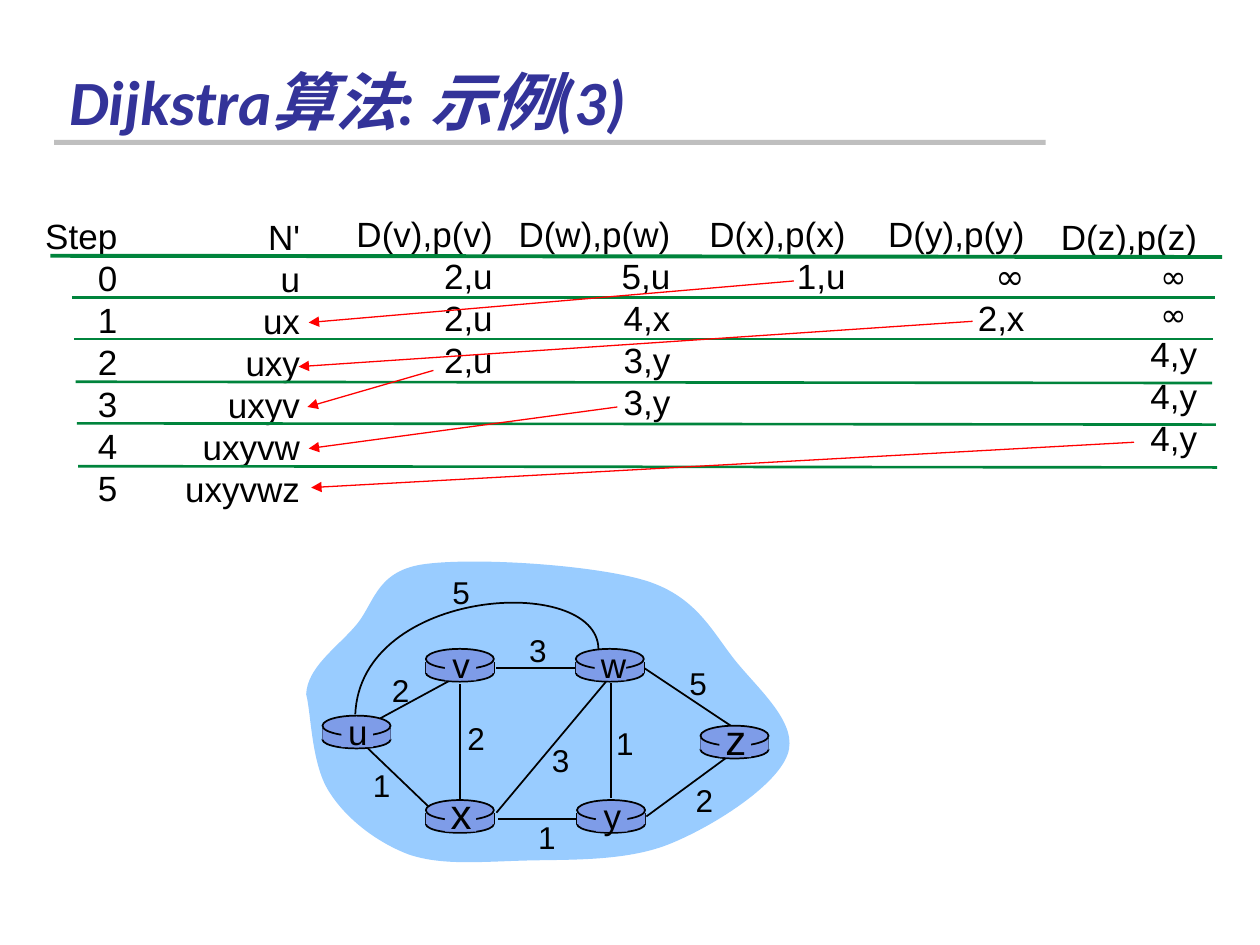
from pptx import Presentation, util as u
from pptx.dml.color import RGBColor
from pptx.enum import shapes, text
from pptx.oxml.ns import qn
from lxml import etree

COLORS = {
    "title": "333399", "ink": "000000", "bar": "BFBFBF", "rule": "00843C",
    "arrow": "FF0000", "cloud": "99CCFF", "router": "7E9CE8",
}
COLUMNS = [
    (0.26, 1.65, 0.77, ["Step", "0", "1", "2", "3", "4", "5"]),
    (1.37, 1.66, 1.11, ["N'", "u", "ux", "uxy", "uxyv", "uxyvw", "uxyvwz"]),
    (2.73, 1.64, 1.28, ["D(v),p(v)", "2,u", "2,u", "2,u"]),
    (3.99, 1.64, 1.43, ["D(w),p(w)", "5,u", "4,x", "3,y", "3,y"]),
    (5.53, 1.64, 1.28, ["D(x),p(x)", "1,u"]),
    (6.95, 1.64, 1.28, ["D(y),p(y)", "∞", "2,x"]),
    (8.32, 1.66, 1.28, ["D(z),p(z)", "∞ ", "∞ ", "4,y", "4,y", "4,y"]),
]
RULES = [
    ((0.57, 2.36), (9.64, 2.36)), ((0.59, 2.69), (9.63, 2.69)),
    ((0.6, 3.03), (9.62, 3.04)), ((0.61, 3.36), (9.65, 3.37)),
    ((0.62, 3.7), (9.66, 3.71)),
]
ARROWS = [
    ((6.3, 2.23), (2.45, 2.56)), ((7.72, 2.55), (2.37, 2.91)),
    ((3.44, 2.94), (2.44, 3.23)), ((4.9, 3.23), (2.45, 3.56)),
    ((9, 3.51), (2.47, 3.87)),
]
CLOUD = [
    (2.43, 5.51), (2.44, 5.3), (2.66, 5.15), (2.81, 4.98),
    (2.97, 4.81), (2.97, 4.54), (3.35, 4.48), (3.74, 4.42), (4.71, 4.48), (5.13, 4.61),
    (5.54, 4.74), (5.66, 5.03), (5.85, 5.26), (6.04, 5.49), (6.34, 5.75), (6.25, 5.99),
    (6.16, 6.24), (5.66, 6.56), (5.31, 6.7), (4.96, 6.84), (4.5, 6.82), (4.16, 6.83),
    (3.81, 6.84), (3.5, 6.87), (3.24, 6.78), (2.98, 6.68), (2.74, 6.49), (2.61, 6.28),
    (2.47, 6.06), (2.47, 5.66), (2.43, 5.51),
]
ARC = [(4.75, 5.15), (4.74, 4.55), (2.86, 4.66), (2.82, 5.67)]
ROUTERS = [
    ("u", 2.56, 5.68, 20), ("x", 3.38, 6.35, 24), ("v", 3.38, 5.15, 20),
    ("w", 4.57, 5.15, 20), ("y", 4.58, 6.35, 20), ("z", 5.56, 5.76, 24),
]
EDGES = [
    ((3.02, 5.7), (3.61, 5.38)), ((4.85, 5.42), (4.85, 6.33)),
    ((3.65, 5.43), (3.65, 6.36)), ((3.94, 6.45), (4.81, 5.41)),
    ((5.13, 6.48), (5.77, 6.01)), ((4.58, 6.5), (3.95, 6.5)),
    ((3.4, 6.4), (2.92, 5.94)), ((4.57, 5.3), (3.94, 5.3)),
    ((5.8, 5.76), (5.11, 5.3)),
]
COSTS = [
    ("2", 3.18, 5.48), ("2", 3.78, 5.86), ("1", 3.03, 6.23), ("3", 4.45, 6.03),
    ("1", 4.34, 6.64), ("1", 4.96, 5.9), ("2", 5.59, 6.35), ("5", 5.54, 5.42),
    ("3", 4.27, 5.16), ("5", 3.66, 4.7),
]


def cm(inches):
    """Turn inches into a length given in centimetres."""
    return u.Cm(inches * 2.54)


def assign(target, values):
    """Set attributes from a dict of format values."""
    for name, value in values.items():
        setattr(target, name, value)


class SlideBuilder:
    """Hold the style and the current slide, and draw its elements."""

    ink = {"name": "Arial", "size": u.Pt(20)}
    heading = {"name": "Calibri", "size": u.Pt(36), "bold": True, "italic": True}

    def __init__(self, slide):
        self.slide = slide
        self.shapes = slide.shapes

    def color(self, name):
        return RGBColor.from_string(COLORS[name])

    def title(self, words, left, top, width, height):
        shape = self.shapes.title
        assign(shape, {"left": cm(left), "top": cm(top),
                       "width": cm(width), "height": cm(height)})
        assign(shape.text_frame, {
            "text": words, "vertical_anchor": text.MSO_ANCHOR.BOTTOM,
            "auto_size": text.MSO_AUTO_SIZE.NONE})
        paragraph = shape.text_frame.paragraphs[0]
        paragraph.alignment = text.PP_ALIGN.LEFT
        font = paragraph.runs[0].font
        assign(font, self.heading)
        font.color.rgb = self.color("title")

    def text(self, lines, left, top, width, height, alignment, size=20):
        frame = self.shapes.add_textbox(cm(left), cm(top), cm(width), cm(height)).text_frame
        assign(frame, {"word_wrap": False, "text": "\n".join(lines),
                       "auto_size": text.MSO_AUTO_SIZE.SHAPE_TO_FIT_TEXT})
        for paragraph in frame.paragraphs:
            paragraph.alignment = alignment
            font = paragraph.runs[0].font
            assign(font, {**self.ink, "size": u.Pt(size)})
            font.color.rgb = self.color("ink")
            if "∞" in paragraph.text:
                font.name = "Comic Neue"
            if paragraph.text == "∞ ":
                font.size = u.Pt(18)

    def label(self, word, x, y, size):
        width, height = {18: (0.34, 0.4), 20: (0.36, 0.43), 24: (0.37, 0.5)}[size]
        self.text([word], x - width / 2, y - height / 2, width, height,
                  text.PP_ALIGN.CENTER, size)

    def paint(self, shape, fill=None, line=None):
        shape.shadow.inherit = False
        if fill:
            shape.fill.solid()
            shape.fill.fore_color.rgb = self.color(fill)
        else:
            shape.fill.background()
        if line:
            shape.line.color.rgb = self.color(line)
            shape.line.width = u.Pt(1)
        else:
            shape.line.fill.background()

    def preset(self, kind, left, top, width, height, fill, line=None):
        shape = self.shapes.add_shape(kind, cm(left), cm(top), cm(width), cm(height))
        self.paint(shape, fill, line)

    def curve(self, points, close, fill=None, line=None):
        start, *controls = [(cm(x), cm(y)) for x, y in points]
        builder = self.shapes.build_freeform(*start)
        builder.add_line_segments(controls, close=close)
        shape = builder.convert_to_shape()
        segments = list(shape._element.iter(qn("a:lnTo")))
        for first in range(0, len(controls), 3):
            bezier = segments[first].makeelement(qn("a:cubicBezTo"))
            segments[first].addprevious(bezier)
            for segment in segments[first:first + 3]:
                bezier.append(segment[0])
                segment.getparent().remove(segment)
        self.paint(shape, fill, line)

    def line(self, start, end, color="ink", width=1, arrow=False):
        connector = self.shapes.add_connector(
            shapes.MSO_CONNECTOR.STRAIGHT, *(cm(value) for value in start + end))
        connector.line.color.rgb = self.color(color)
        connector.line.width = u.Pt(width)
        properties = connector._element.spPr
        if arrow:
            etree.SubElement(properties.find(qn("a:ln")), qn("a:tailEnd"), type="triangle")
        etree.SubElement(properties, qn("a:effectLst"))

    def router(self, name, left, top, size):
        oval, box = shapes.MSO_SHAPE.OVAL, shapes.MSO_SHAPE.RECTANGLE
        self.preset(oval, left, top + 0.12, 0.54, 0.14, "router", "ink")
        for x in (left, left + 0.54):
            self.line((x, top + 0.1), (x, top + 0.19))
        self.preset(box, left, top + 0.1, 0.54, 0.09, "router")
        self.preset(oval, left, top, 0.54, 0.16, "router", "ink")
        self.preset(box, left + 0.15, top + 0.02, 0.25, 0.23, "router")
        self.label(name, left + 0.28, top + (0.125 if size == 20 else 0.1), size)


def main():
    presentation = Presentation()
    assign(presentation, {"slide_width": cm(10), "slide_height": cm(7.5)})
    builder = SlideBuilder(presentation.slides.add_slide(presentation.slide_layouts[5]))
    builder.preset(shapes.MSO_SHAPE.RECTANGLE, 0.43, 1.11, 7.87, 0.04, "bar")
    builder.title("Dijkstra算法: 示例(3)", 0.45, 0.1, 9.15, 1.05)
    for left, top, width, lines in COLUMNS:
        builder.text(lines, left, top, width, 0.1 + len(lines) / 3, text.PP_ALIGN.RIGHT)
    builder.line((0.4, 2.03), (9.7, 2.04), "rule", 2.25)
    for start, end in RULES:
        builder.line(start, end, "rule", 1.5)
    builder.curve(CLOUD, True, fill="cloud")
    for start, end in EDGES:
        builder.line(start, end)
    builder.curve(ARC, False, line="ink")
    for router in ROUTERS:
        builder.router(*router)
    for cost, x, y in COSTS:
        builder.label(cost, x, y, 18)
    for start, end in ARROWS:
        builder.line(start, end, "arrow", 0.75, arrow=True)
    presentation.save("out.pptx")


if __name__ == "__main__":
    main()
